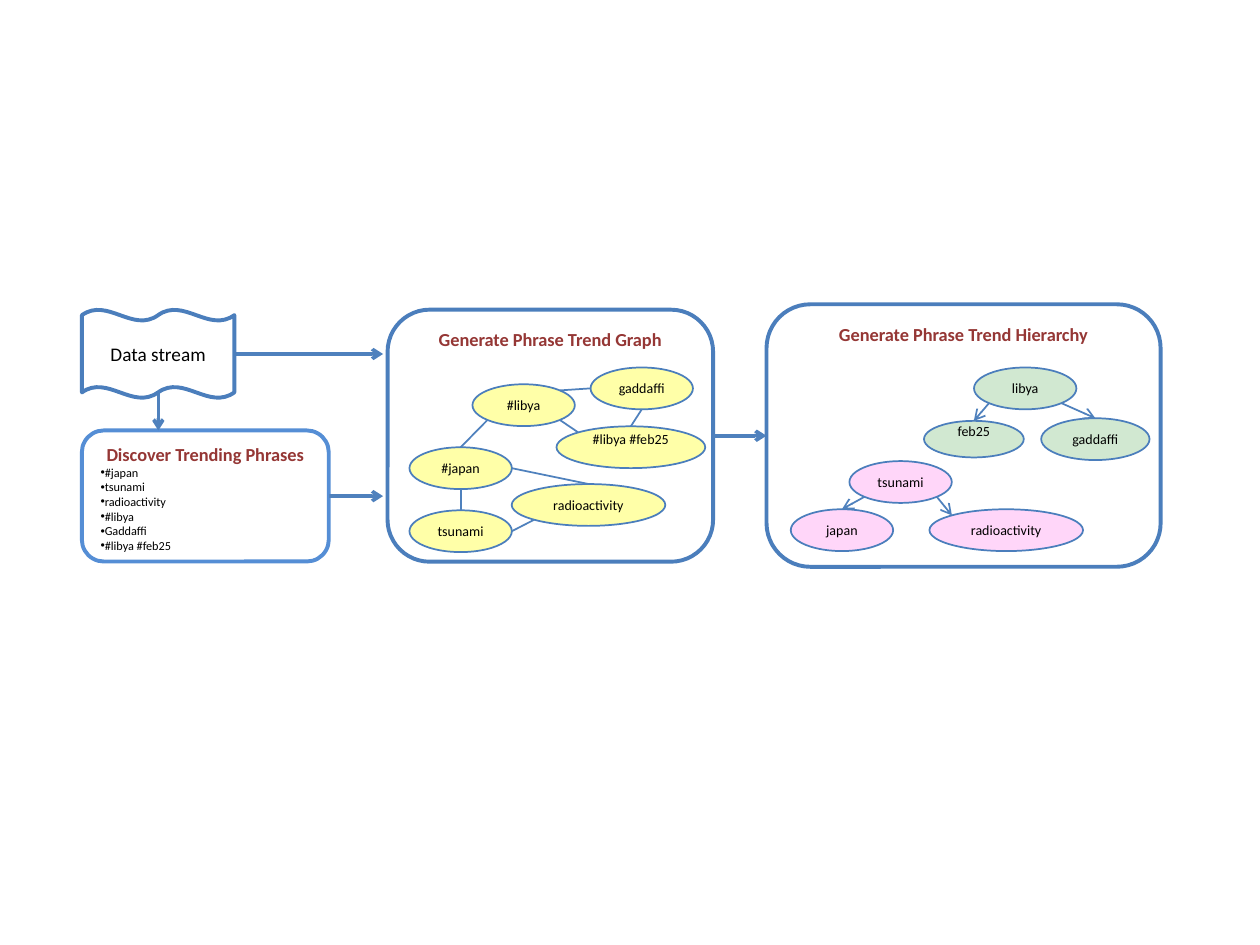
import math

import lxml.etree
import pptx
import pptx.dml.color
import pptx.enum.shapes
import pptx.enum.text
import pptx.oxml.ns
import pptx.util

Pt = pptx.util.Pt
RGB = pptx.dml.color.RGBColor
KIND = pptx.enum.shapes.MSO_SHAPE
ALIGN = pptx.enum.text.PP_ALIGN
ANCHOR = pptx.enum.text.MSO_ANCHOR
qn = pptx.oxml.ns.qn

FONT = "Calibri"
BULLET_FONT = "Arial"
BLACK = RGB(0x00, 0x00, 0x00)
RED = RGB(0x95, 0x37, 0x35)
EDGE = RGB(0x4B, 0x7E, 0xBC)
SKY = RGB(0x55, 0x8E, 0xD5)
ARROW = RGB(0x4F, 0x81, 0xBD)
YELLOW = RGB(0xFF, 0xFF, 0x00)
PINK = RGB(0xFF, 0x0F, 0xDF)
GREEN = RGB(0x00, 0x80, 0x00)

OVAL_W, OVAL_H, WIDE_W = 58.5, 23.9, 87.8
LINE_H = 9.8

# Directions on an oval, in degrees clockwise from the right
RIGHT, LOW_R, LOW, LOW_L, LEFT, TOP_L, TOP, TOP_R = range(0, 360, 45)

PHRASES = ["#japan", "tsunami", "radioactivity", "#libya", "Gaddaffi",
           "#libya #feb25"]


def add_text(para, text, size, color=BLACK, bold=False, align=ALIGN.CENTER):
    para.alignment = align
    run = para.add_run()
    run.text = text
    run.font.name = FONT
    run.font.size = Pt(size)
    run.font.bold = bold
    run.font.color.rgb = color


def add_box(slide, kind, area, color, width):
    box = slide.shapes.add_shape(kind, *map(Pt, area))
    box.shadow.inherit = False
    box.fill.background()
    box.line.color.rgb = color
    box.line.width = Pt(width)
    box.text_frame.word_wrap = True
    return box


def add_panel(slide, area, title, color=EDGE):
    panel = add_box(slide, KIND.ROUNDED_RECTANGLE, area, color, 2.25)
    panel.text_frame.vertical_anchor = ANCHOR.TOP
    add_text(panel.text_frame.paragraphs[0], title, 10.5, RED, True)
    return panel


def add_bullets(frame, items):
    for item in items:
        para = frame.add_paragraph()
        add_text(para, item, 7, align=ALIGN.LEFT)
        props = para._p.get_or_add_pPr()
        props.set("marL", "0")
        props.set("indent", "0")
        lxml.etree.SubElement(props, qn("a:buFont")).set("typeface",
                                                         BULLET_FONT)
        lxml.etree.SubElement(props, qn("a:buChar")).set("char", "•")


def add_wave(slide, area, text):
    wave = add_box(slide, KIND.DOUBLE_WAVE, area, EDGE, 2.25)
    wave.adjustments[0] = 0.062
    wave.text_frame.vertical_anchor = ANCHOR.MIDDLE
    add_text(wave.text_frame.paragraphs[0], text, 11)


def add_oval(slide, area, text, color, alpha, lift=0):
    """Draw a see-through node; lift is the space kept free under its text."""
    oval = add_box(slide, KIND.OVAL, area, EDGE, 1)
    oval.fill.solid()
    oval.fill.fore_color.rgb = color
    tint = oval._element.spPr.find(qn("a:solidFill"))[0]
    lxml.etree.SubElement(tint, qn("a:alpha")).set("val", str(alpha * 1000))
    frame = oval.text_frame
    frame.margin_left = frame.margin_right = frame.margin_top = 0
    frame.margin_bottom = Pt(lift)
    frame.vertical_anchor = ANCHOR.MIDDLE
    add_text(frame.paragraphs[0], text, 8)


def add_line(slide, start, end, width, arrow=False):
    link = slide.shapes.add_connector(
        pptx.enum.shapes.MSO_CONNECTOR.STRAIGHT, *map(Pt, start + end))
    link.line.color.rgb = ARROW
    link.line.width = Pt(width)
    if arrow:
        tail = lxml.etree.SubElement(link.line._get_or_add_ln(),
                                     qn("a:tailEnd"))
        tail.set("type", "arrow")
    lxml.etree.SubElement(link._element.spPr, qn("a:effectLst"))


def rim_point(area, angle):
    left, top, width, height = area
    turn = math.radians(angle)
    return (left + width / 2 * (1 + math.cos(turn)),
            top + height / 2 * (1 + math.sin(turn)))


def add_net(slide, nodes, edges, color, alpha, arrow=False):
    """Draw named ovals and the lines that join points on their rims."""
    areas = {}
    for name, left, top, width, height, lift in nodes:
        areas[name] = (left, top, width, height)
        add_oval(slide, areas[name], name, color, alpha, lift)
    for first, out, last, into in edges:
        add_line(slide, rim_point(areas[first], out),
                 rim_point(areas[last], into), 1, arrow)


def add_graph(slide):
    nodes = [
        ("#japan", 234, 255.6, OVAL_W, OVAL_H, 0),
        ("tsunami", 234, 291.6, OVAL_W, OVAL_H, 0),
        ("radioactivity", 292.4, 276.6, WIDE_W, OVAL_H, 0),
        ("#libya", 270, 219.6, OVAL_W, OVAL_H, 0),
        ("gaddaffi", 337.5, 210, OVAL_W, OVAL_H, 0),
        ("#libya #feb25", 318, 243.6, 85, OVAL_H, LINE_H),
    ]
    edges = [
        ("#japan", LOW, "tsunami", TOP),
        ("radioactivity", LOW_L, "tsunami", RIGHT),
        ("#japan", RIGHT, "radioactivity", TOP),
        ("gaddaffi", LEFT, "#libya", TOP_R),
        ("#japan", TOP, "#libya", LOW_L),
        ("#libya #feb25", TOP, "gaddaffi", LOW),
        ("#libya #feb25", TOP_L, "#libya", LOW_R),
    ]
    add_net(slide, nodes, edges, YELLOW, 34)


def add_trees(slide):
    pink = [
        ("japan", 451.9, 291, OVAL_W, OVAL_H, 0),
        ("tsunami", 485.4, 263.5, OVAL_W, OVAL_H, 0),
        ("radioactivity", 531.1, 291, WIDE_W, OVAL_H, 0),
    ]
    add_net(slide, pink, [("tsunami", LOW_L, "japan", TOP),
                          ("tsunami", LOW_R, "radioactivity", TOP_L)],
            PINK, 17, True)
    green = [
        ("libya", 556.6, 210, OVAL_W, OVAL_H, 0),
        ("gaddaffi", 595, 239, 61.9, OVAL_H, 0),
        ("feb25", 528, 240.5, 57, 20.9, LINE_H),
    ]
    add_net(slide, green, [("libya", LOW_L, "feb25", TOP),
                           ("libya", LOW_R, "gaddaffi", TOP)],
            GREEN, 18, True)


def main():
    deck = pptx.Presentation()
    deck.slide_width, deck.slide_height = Pt(720), Pt(540)
    slide = deck.slides.add_slide(deck.slide_layouts[6])

    finder = add_panel(slide, (46.8, 246, 141.1, 74.9),
                       "Discover Trending Phrases", SKY)
    add_bullets(finder.text_frame, PHRASES)
    add_panel(slide, (221.5, 177, 186, 144),
              "Generate Phrase Trend Graph")
    add_panel(slide, (438, 173.9, 225.2, 150),
              "Generate Phrase Trend Hierarchy")
    add_graph(slide)
    add_trees(slide)

    flows = [
        ((90.5, 224), (90.5, 246)),
        ((133.9, 202.3), (218.9, 202.3)),
        ((187.9, 283.5), (218.9, 283.5)),
        ((407.5, 249), (438, 249)),
    ]
    for start, end in flows:
        add_line(slide, start, end, 2, True)
    add_wave(slide, (46.8, 177, 87.1, 50.4), "Data stream")

    deck.save("out.pptx")


if __name__ == "__main__":
    main()
